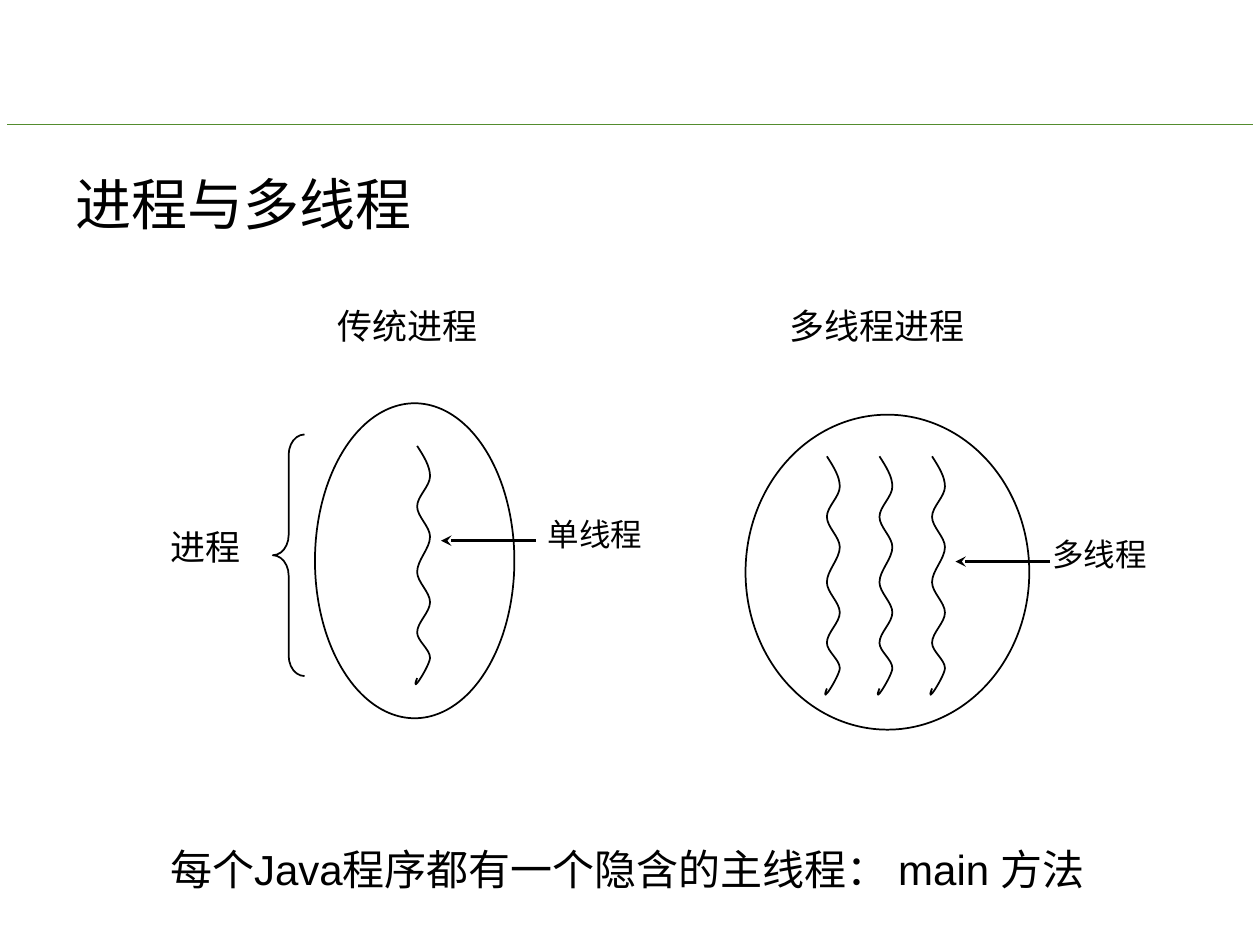
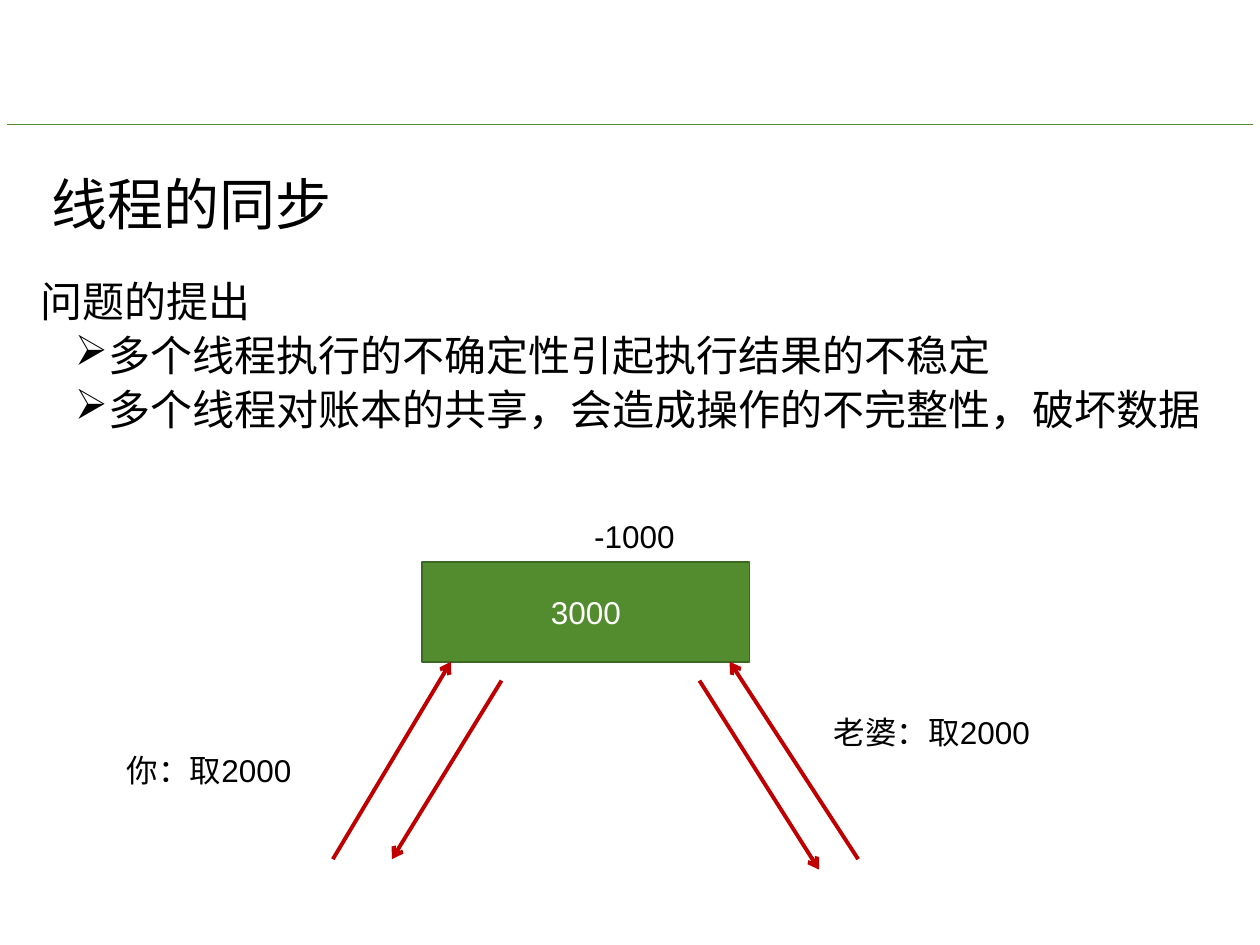
from lxml import etree
from pptx import Presentation
from pptx.dml.color import RGBColor
from pptx.enum.shapes import MSO_CONNECTOR, MSO_SHAPE
from pptx.enum.text import MSO_ANCHOR, MSO_AUTO_SIZE, PP_ALIGN
from pptx.oxml.ns import qn
from pptx.util import Cm, Pt

STRAIGHT = MSO_CONNECTOR.STRAIGHT
ELLIPSE, BRACE, RECTANGLE = MSO_SHAPE.OVAL, MSO_SHAPE.LEFT_BRACE, MSO_SHAPE.RECTANGLE
MIDDLE, CENTER = MSO_ANCHOR.MIDDLE, PP_ALIGN.CENTER
GROW = MSO_AUTO_SIZE.SHAPE_TO_FIT_TEXT

BLACK = RGBColor(0x00, 0x00, 0x00)
WHITE = RGBColor(0xFF, 0xFF, 0xFF)
GREEN = RGBColor(0x53, 0x8C, 0x2E)
DARK_GREEN = RGBColor(0x3D, 0x68, 0x22)
RED = RGBColor(0xC0, 0x00, 0x00)

LATIN_FONT = "Arial"
CJK_FONT = "Noto Sans CJK SC"

# Turning points of a thread, measured down from its start
THREAD_TURNS = [0, 0.61, 1.22, 1.83, 2.54, 3.15, 3.76, 4.27]
THREAD_SWING = 0.26
THREAD_HOOK = [(THREAD_SWING, 4.42), (-0.16, 5.08), (0, 4.68)]


def set_font(paragraph, size, name=LATIN_FONT, color=BLACK):
    font = paragraph.font
    font.size = Pt(size)
    font.color.rgb = color
    font.name = name
    defaults = paragraph._p.pPr.find(qn("a:defRPr"))
    etree.SubElement(defaults, qn("a:ea"), typeface=CJK_FONT)


def add_frame(slide, left, top, width, height):
    frame = slide.shapes.add_textbox(Cm(left), Cm(top), Cm(width), Cm(height)).text_frame
    frame.word_wrap = True
    return frame


def add_label(slide, text, left, top, width, size=18):
    frame = add_frame(slide, left, top, width, 1.02 if size == 18 else 1.11)
    frame.auto_size = GROW
    frame.text = text
    set_font(frame.paragraphs[0], size)


def add_line(slide, start, end, color, weight, arrowhead=None):
    line = slide.shapes.add_connector(STRAIGHT, *map(Cm, start + end))
    line.line.color.rgb = color
    line.line.width = Pt(weight)
    if arrowhead:
        etree.SubElement(line.line._get_or_add_ln(), qn("a:tailEnd"), type=arrowhead)
    etree.SubElement(line._element.spPr, qn("a:effectLst"))


def style_outline(shape, color=BLACK):
    shape.shadow.inherit = False
    shape.line.color.rgb = color
    shape.line.width = Pt(1)


def add_outline(slide, kind, left, top, width, height):
    shape = slide.shapes.add_shape(kind, Cm(left), Cm(top), Cm(width), Cm(height))
    shape.fill.background()
    style_outline(shape)
    return shape


def thread_controls():
    """Return the Bezier points of a thread, three to each bend."""
    points = []
    for turn, (y, next_y) in enumerate(zip(THREAD_TURNS, THREAD_TURNS[1:])):
        x, next_x = (0, THREAD_SWING) if turn % 2 == 0 else (THREAD_SWING, 0)
        third = (next_y - y) / 3
        first_x = x if turn else THREAD_SWING / 2
        points += [(first_x, y + third), (next_x, next_y - third), (next_x, next_y)]
    return points + THREAD_HOOK


def add_thread(slide, left, top):
    builder = slide.shapes.build_freeform(Cm(left), Cm(top), scale=1.0)
    builder.add_line_segments(
        [(Cm(left + x), Cm(top + y)) for x, y in thread_controls()], close=False)
    thread = builder.convert_to_shape()
    thread.fill.background()
    style_outline(thread)
    outline = next(thread._element.iter(qn("a:path")))
    segments = outline.findall(qn("a:lnTo"))
    for start in range(0, len(segments), 3):
        bend = etree.SubElement(outline, qn("a:cubicBezTo"))
        for segment in segments[start:start + 3]:
            bend.append(segment[0])
            outline.remove(segment)


def add_titled_slide(deck, title, left):
    slide = deck.slides.add_slide(deck.slide_layouts[6])
    add_line(slide, (0.15, 2.51), (25.25, 2.51), GREEN, 0.5)
    frame = add_frame(slide, left, 2.34, 21.89, 3.68)
    frame.vertical_anchor = MIDDLE
    frame.text = title
    frame.paragraphs[0].line_spacing = 0.9
    set_font(frame.paragraphs[0], 32, CJK_FONT)
    return slide


def add_problem(slide, heading, points):
    """Add a heading with its points bulleted below."""
    frame = add_frame(slide, 0, 5.54, 25.15, 5.59)
    frame.text = "\n".join([heading] + points)
    for paragraph in frame.paragraphs:
        paragraph.line_spacing = 0.9
        paragraph.space_before = Pt(5)
        set_font(paragraph, 24, CJK_FONT)
    first, *bulleted = frame.paragraphs
    first.space_before = Pt(10)
    first._p.pPr.set("marL", str(Cm(0.56)))
    for paragraph in bulleted:
        properties = paragraph._p.pPr
        properties.set("marL", str(Cm(1.9)))
        properties.set("indent", str(Cm(-0.64)))
        bullet = etree.Element(qn("a:buChar"), char="➢")
        properties.find(qn("a:defRPr")).addprevious(bullet)


def add_balance(slide, amount):
    balance = slide.shapes.add_shape(RECTANGLE, Cm(8.51), Cm(11.33), Cm(6.6), Cm(2.01))
    balance.fill.solid()
    balance.fill.fore_color.rgb = GREEN
    style_outline(balance, DARK_GREEN)
    frame = balance.text_frame
    frame.vertical_anchor = MIDDLE
    frame.text = amount
    frame.paragraphs[0].alignment = CENTER
    set_font(frame.paragraphs[0], 18, color=WHITE)


def build_processes(deck):
    slide = add_titled_slide(deck, "进程与多线程", 1.27)

    add_label(slide, "传统进程", 6.56, 6.02, 5.72, 20)
    add_outline(slide, ELLIPSE, 6.35, 8.13, 4.02, 6.35)
    add_thread(slide, 8.41, 8.99)
    add_label(slide, "单线程", 10.79, 10.26, 3.39)
    add_line(slide, (10.8, 10.9), (8.89, 10.9), BLACK, 2, "stealth")
    add_label(slide, "进程", 3.18, 10.46, 2.75, 20)
    brace = add_outline(slide, BRACE, 5.5, 8.76, 0.64, 4.87)
    brace.adjustments[0] = 0.64

    add_label(slide, "多线程进程", 15.67, 6.02, 5.92, 20)
    add_outline(slide, ELLIPSE, 15.03, 8.36, 5.72, 6.35)
    for column in range(3):
        add_thread(slide, 16.67 + 1.06 * column, 9.2)
    add_label(slide, "多线程", 20.96, 10.67, 3.39)
    add_line(slide, (21.17, 11.32), (19.26, 11.32), BLACK, 2, "stealth")

    add_label(slide, "每个Java程序都有一个隐含的主线程： main 方法", 3.18, 16.87, 19.48, 24)


def build_synchronization(deck):
    slide = add_titled_slide(deck, "线程的同步", 0.79)
    add_problem(slide, "问题的提出", [
        "多个线程执行的不确定性引起执行结果的不稳定",
        "多个线程对账本的共享，会造成操作的不完整性，破坏数据",
    ])
    add_balance(slide, "3000")
    add_label(slide, "-1000", 11.73, 10.29, 2.31)
    add_label(slide, "你：取2000", 2.31, 15.01, 4.39)
    add_label(slide, "老婆：取2000", 16.56, 14.25, 6.2)
    transfers = [
        ((6.71, 17.32), (9.09, 13.34)),
        ((17.3, 17.32), (14.71, 13.34)),
        ((10.11, 13.72), (7.9, 17.32)),
        ((14.1, 13.72), (16.51, 17.53)),
    ]
    for start, end in transfers:
        add_line(slide, start, end, RED, 2.25, "arrow")


def main():
    deck = Presentation()
    deck.slide_width, deck.slide_height = Cm(25.4), Cm(19.05)
    build_processes(deck)
    build_synchronization(deck)
    deck.save("out.pptx")


if __name__ == "__main__":
    main()
